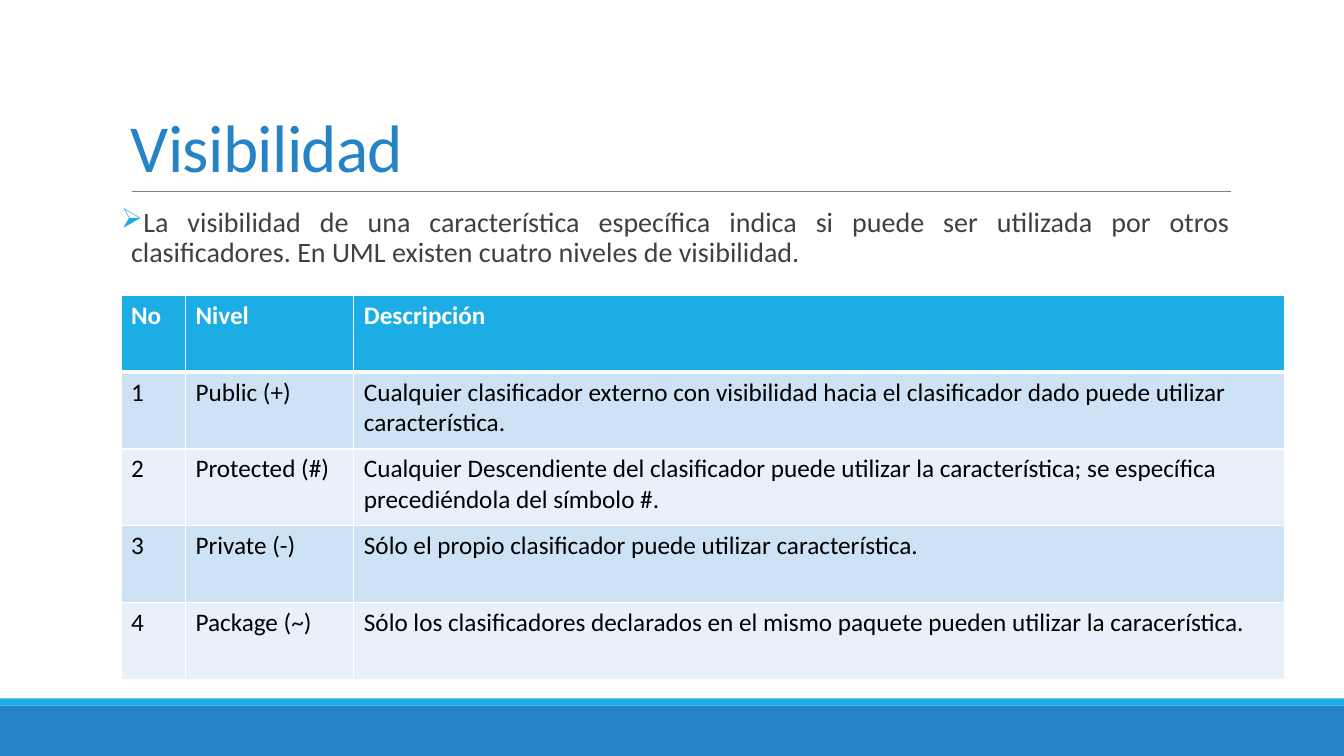
"""Build the slide on UML visibility levels."""
from lxml import etree
from pptx import Presentation
from pptx.dml.color import RGBColor
from pptx.enum.shapes import MSO_CONNECTOR, MSO_SHAPE
from pptx.enum.text import MSO_ANCHOR, PP_ALIGN
from pptx.oxml.ns import qn
from pptx.util import Inches, Pt

LINE = MSO_CONNECTOR.STRAIGHT
RECT = MSO_SHAPE.RECTANGLE
BOTTOM = MSO_ANCHOR.BOTTOM
LEFT, JUST = PP_ALIGN.LEFT, PP_ALIGN.JUSTIFY

COLORS = {
    "blue": "2683C6", "cyan": "1CADE4", "rule": "808080", "body": "404040",
    "white": "FFFFFF", "black": "000000", "odd": "CDE3F5", "even": "E8F1FA",
}


def rgb(name):
    return RGBColor.from_string(COLORS[name])


def write(frame, text, size=18, color="black", bold=False, align=LEFT, space=1.0):
    frame.word_wrap = True
    para = frame.paragraphs[0]
    para.alignment = align
    para.line_spacing = space
    run = para.add_run()
    run.text = text
    font = run.font
    font.name, font.size, font.bold = "Calibri", Pt(size), bold
    font.color.rgb = rgb(color)
    return para


prs = Presentation()
prs.slide_width, prs.slide_height = Inches(13.33), Inches(7.5)
slide = prs.slides.add_slide(prs.slide_layouts[6])
shapes = slide.shapes

for top, height, color in [(7, 0.5, "blue"), (6.93, 0.07, "cyan")]:
    band = shapes.add_shape(RECT, 0, Inches(top), prs.slide_width, Inches(height))
    band.shadow.inherit = False
    band.fill.solid()
    band.fill.fore_color.rgb = rgb(color)
    band.line.fill.background()

rule = shapes.add_connector(LINE, Inches(1.31), Inches(1.9), Inches(12.21), Inches(1.9))
rule.line.color.rgb = rgb("rule")
rule.line.width = Pt(0.5)
etree.SubElement(rule._element.spPr, qn("a:effectLst"))

title = shapes.add_textbox(Inches(1.2), Inches(0.31), Inches(11), Inches(1.59)).text_frame
title.vertical_anchor = BOTTOM
para = write(title, "Visibilidad", size=48, color="blue", space=0.85)
para.runs[0].font._element.set("spc", "-50")

body = shapes.add_textbox(Inches(1.2), Inches(2.02), Inches(11), Inches(4.4)).text_frame
body.margin_left = body.margin_right = 0
para = write(
    body,
    "La visibilidad de una característica específica indica si puede ser utilizada "
    "por otros clasificadores. En UML existen cuatro niveles de visibilidad.",
    size=20, color="body", align=JUST, space=0.9,
)
para.space_before, para.space_after = Pt(12), Pt(2)
props = para._p.get_or_add_pPr()
props.set("marL", str(Inches(0.1)))
props.set("indent", str(Inches(-0.1)))
tint = etree.SubElement(props, qn("a:buClr"))
etree.SubElement(tint, qn("a:srgbClr"), val=COLORS["cyan"])
etree.SubElement(props, qn("a:buChar"), char="➢")

ROWS = [
    ("No", "Nivel", "Descripción"),
    ("1", "Public (+)",
     "Cualquier clasificador externo con visibilidad hacia el clasificador dado "
     "puede utilizar característica."),
    ("2", "Protected (#)",
     "Cualquier Descendiente del clasificador puede utilizar la característica; "
     "se específica precediéndola del símbolo #."),
    ("3", "Private (-)", "Sólo el propio clasificador puede utilizar característica."),
    ("4", "Package (~)",
     "Sólo los clasificadores declarados en el mismo paquete pueden utilizar "
     "la caracerística."),
]
WIDTHS = [0.64, 1.67, 9.23]

table = shapes.add_table(
    len(ROWS), len(WIDTHS), Inches(1.2), Inches(2.93), Inches(11.54), Inches(3.81)
).table
for col, width in zip(table.columns, WIDTHS):
    col.width = Inches(width)

for r, row in enumerate(ROWS):
    head = r == 0
    fill = "cyan" if head else "odd" if r % 2 else "even"
    for c, text in enumerate(row):
        cell = table.cell(r, c)
        cell.fill.solid()
        cell.fill.fore_color.rgb = rgb(fill)
        write(cell.text_frame, text, color="white" if head else "black", bold=head)
        props = cell._tc.get_or_add_tcPr()
        for i, side in enumerate("LRTB"):
            thick = (head and side == "B") or (r == 1 and side == "T")
            edge = etree.Element(qn(f"a:ln{side}"), w=str(Pt(3 if thick else 1)))
            paint = etree.SubElement(edge, qn("a:solidFill"))
            etree.SubElement(paint, qn("a:srgbClr"), val=COLORS["white"])
            props.insert(i, edge)

prs.save("out.pptx")
